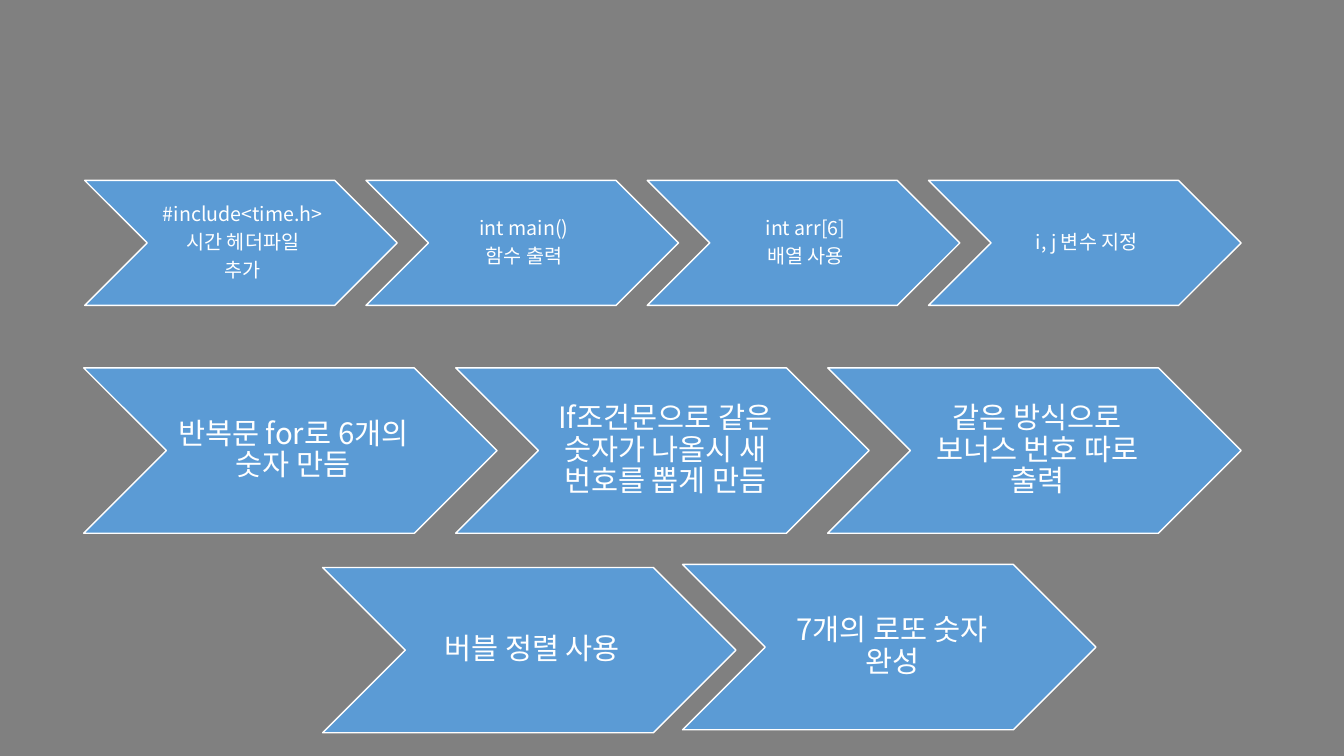
from lxml import etree
from pptx import Presentation
from pptx import util as u
from pptx.dml.color import RGBColor
from pptx.enum import shapes, text
from pptx.oxml.ns import qn

COLORS = {"background": "808080", "step": "5B9BD5", "white": "FFFFFF"}
FONT = "Noto Sans CJK KR"
ASPECT = 2.5    # chevron width per height
PITCH = 0.9     # step from one chevron to the next, as a share of its width

# left, top, chevron height (inches), text size (points), texts of the steps
ROWS = [
    (0.84, 1.79, 1.24, 14, ["#include<time.h>\n시간 헤더파일\n추가", "int main()\n함수 출력",
                            "int arr[6]\n배열 사용", "i, j 변수 지정"]),
    (0.83, 3.65, 1.64, 21, ["반복문 for로 6개의 숫자 만듬",
                            "If조건문으로 같은 숫자가 나올시 새 번호를 뽑게 만듬",
                            "같은 방식으로 보너스 번호 따로 출력"]),
    (6.77, 5.6, 1.64, 21, ["7개의 로또 숫자 완성"]),
    (3.2, 5.63, 1.64, 21, ["버블 정렬 사용"]),
]


def write_text(shape, content, size, color, font=FONT):
    """Fill the shape with centred paragraphs, one per line of content."""
    frame = shape.text_frame
    frame.word_wrap = True
    frame.vertical_anchor = text.MSO_ANCHOR.MIDDLE
    frame.margin_left = u.Pt(size * 0.3)
    frame.margin_top = frame.margin_right = frame.margin_bottom = u.Pt(size * 0.1)
    frame.text = content
    for paragraph in frame.paragraphs:
        paragraph.alignment = text.PP_ALIGN.CENTER
        paragraph.line_spacing = 0.9
        paragraph.space_after = u.Pt(size * 0.35)
        for run in paragraph.runs:
            run.font.size = u.Pt(size)
            run.font.color.rgb = RGBColor.from_string(color)
            run.font.name = font
            east_asian = etree.SubElement(run.font._element, qn("a:ea"))
            east_asian.set("typeface", font)


presentation = Presentation()
presentation.slide_width = u.Inches(13.33)
presentation.slide_height = u.Inches(7.5)
slide = presentation.slides.add_slide(presentation.slide_layouts[6])
slide.background.fill.solid()
slide.background.fill.fore_color.rgb = RGBColor.from_string(COLORS["background"])

for left, top, height, size, steps in ROWS:
    width = height * ASPECT
    for column, step in enumerate(steps):
        chevron = slide.shapes.add_shape(
            shapes.MSO_SHAPE.CHEVRON, u.Inches(left + column * width * PITCH),
            u.Inches(top), u.Inches(width), u.Inches(height))
        chevron.shadow.inherit = False
        chevron.fill.solid()
        chevron.fill.fore_color.rgb = RGBColor.from_string(COLORS["step"])
        chevron.line.color.rgb = RGBColor.from_string(COLORS["white"])
        chevron.line.width = u.Pt(1)
        write_text(chevron, step, size=size, color=COLORS["white"])

presentation.save("out.pptx")
